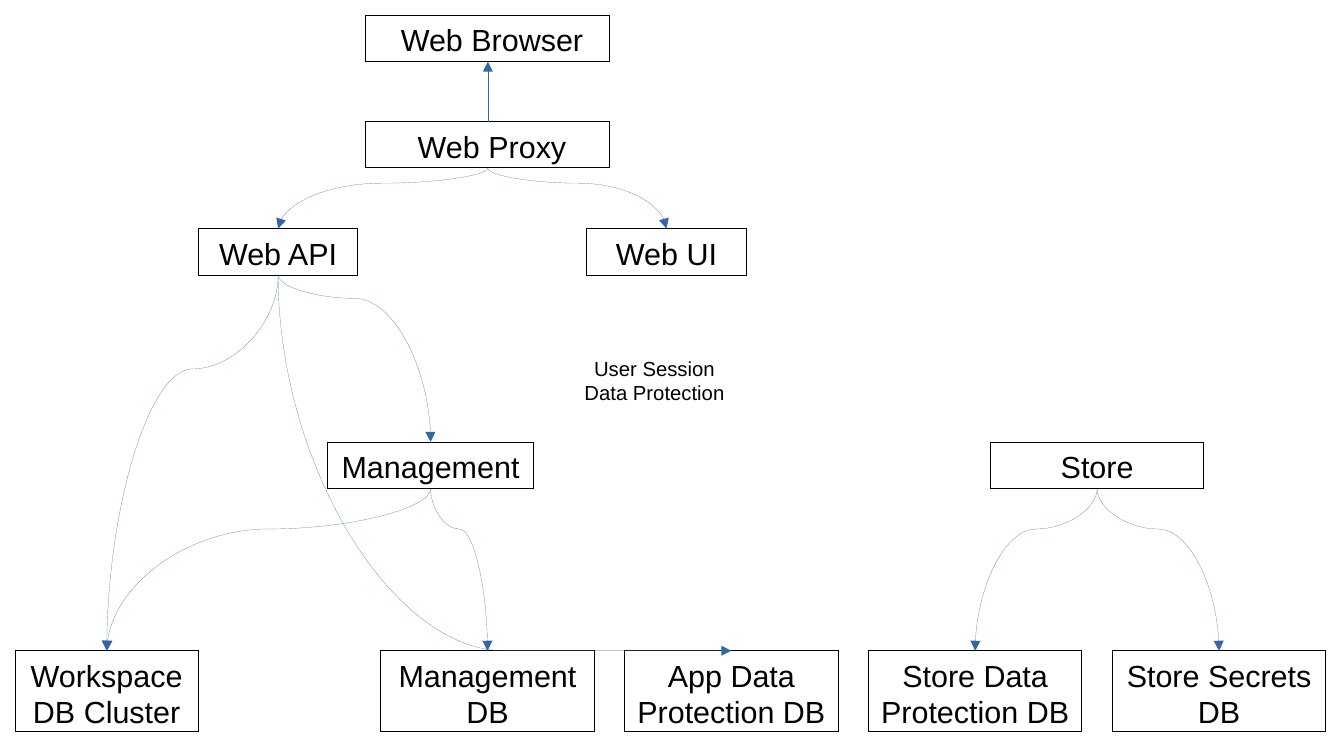
from collections import namedtuple

from lxml import etree
from pptx import Presentation
from pptx import util as u
from pptx.dml import color
from pptx.enum import shapes, text
from pptx.oxml import ns

COLORS = {"ink": "000000", "arrow": "3465A4"}
Node = namedtuple("Node", "label center top width height")
LOW, TALL = 27.4, 47.5
LEVELS = [0, 62.8, 126, 252, 375.3]


def style_line(shape, name):
    """Hairline; a zero width has to be written out to override the theme."""
    shape.line.color.rgb = color.RGBColor.from_string(COLORS[name])
    outline = shape.line._get_or_add_ln()
    outline.set("w", "0")
    return outline


def write(shape, words, size=18, font="Arial", ink="ink"):
    frame = shape.text_frame
    frame.word_wrap = True
    frame.auto_size = text.MSO_AUTO_SIZE.SHAPE_TO_FIT_TEXT
    frame.vertical_anchor = text.MSO_ANCHOR.TOP
    para = frame.paragraphs[0]
    para.alignment = text.PP_ALIGN.CENTER
    span = para.add_run()
    span.text = words
    span.font.size = u.Pt(size)
    span.font.name = font
    span.font.color.rgb = color.RGBColor.from_string(COLORS[ink])


def add_node(page, left, top, node):
    box = page.shapes.add_shape(
        shapes.MSO_SHAPE.RECTANGLE,
        u.Pt(left + node.center - node.width / 2), u.Pt(top + node.top),
        u.Pt(node.width), u.Pt(node.height))
    box.shadow.inherit = False
    box.fill.background()
    style_line(box, "ink")
    write(box, node.label)


def style_arrow(arrow):
    outline = style_line(arrow, "arrow")
    etree.SubElement(outline, ns.qn("a:tailEnd"), type="triangle")
    etree.SubElement(arrow._element.spPr, ns.qn("a:effectLst"))


def add_rise(page, x, start, end):
    style_arrow(page.shapes.add_connector(
        shapes.MSO_CONNECTOR.STRAIGHT, u.Pt(x), u.Pt(start), u.Pt(x), u.Pt(end)))


def add_drop(page, start, end, bend):
    """Curve that leaves start downwards and enters end from above.

    The connector is laid out sideways about its middle and then turned.
    """
    (x1, y1), (x2, y2) = start, end
    across, down = abs(x2 - x1), y2 - y1
    left, top = (x1 + x2 - down) / 2, (y1 + y2 - across) / 2
    ends = [left, left + down]
    rightward = x2 > x1
    if rightward:
        ends.reverse()
    arrow = page.shapes.add_connector(
        shapes.MSO_CONNECTOR.CURVE,
        u.Pt(ends[0]), u.Pt(top), u.Pt(ends[1]), u.Pt(top + across))
    properties = arrow._element.spPr
    properties.find(ns.qn("a:xfrm")).set("rot", str((270 if rightward else 90) * 60000))
    geometry = properties.find(ns.qn("a:prstGeom"))
    guides = geometry.find(ns.qn("a:avLst"))
    if guides is None:
        guides = etree.SubElement(geometry, ns.qn("a:avLst"))
    etree.SubElement(guides, ns.qn("a:gd"), name="adj1", fmla=f"val {round(bend * 100000)}")
    style_arrow(arrow)


def draw_tree(page, left, top, nodes, links):
    for node in nodes.values():
        add_node(page, left, top, node)
    for source, target, bend in links:
        parent, child = nodes[source], nodes[target]
        add_drop(page,
                 (left + parent.center, top + parent.top + parent.height),
                 (left + child.center, top + child.top), bend)


def draw_session(page, left, top):
    nodes = {
        "browser": Node(" Web Browser", 279, LEVELS[0], 144, LOW),
        "proxy": Node(" Web Proxy", 279, LEVELS[1], 144, LOW),
        "api": Node("Web API", 155.2, LEVELS[2], 94.3, LOW),
        "ui": Node("Web UI", 384.5, LEVELS[2], 94.3, LOW),
        "management": Node("Management", 245.2, LEVELS[3], 121.7, LOW),
        "workspace db": Node("Workspace DB Cluster", 54, LEVELS[4], 108, TALL),
        "management db": Node("Management DB", 278.8, LEVELS[4], 126, TALL),
        "app db": Node("App Data Protection DB", 422.8, LEVELS[4], 126, TALL),
    }
    links = [
        ("proxy", "api", 0.25),
        ("proxy", "ui", 0.25),
        ("api", "workspace db", 0.25),
        ("api", "management", 0.14),
        ("api", "app db", 1),
        ("management", "workspace db", 0.25),
        ("management", "management db", 0.25),
    ]
    draw_tree(page, left, top, nodes, links)
    proxy, browser = nodes["proxy"], nodes["browser"]
    add_rise(page, left + proxy.center, top + proxy.top,
             top + browser.top + browser.height)
    caption = page.shapes.add_textbox(
        u.Pt(left + 322.7), u.Pt(top + 197.8), u.Pt(109.4), u.Pt(34))
    write(caption, "User Session Data Protection", size=12)


def draw_store(page, left, top):
    bottom = LEVELS[4] - LEVELS[3]
    nodes = {
        "store": Node("Store", 135, 0, 126, LOW),
        "data": Node("Store Data Protection DB", 63, bottom, 126, TALL),
        "secrets": Node("Store Secrets DB", 207, bottom, 126, TALL),
    }
    draw_tree(page, left, top, nodes,
              [("store", "data", 0.25), ("store", "secrets", 0.25)])


def main():
    deck = Presentation()
    deck.slide_width, deck.slide_height = u.Pt(793.44), u.Pt(446.4)
    page = deck.slides.add_slide(deck.slide_layouts[6])
    draw_session(page, 9, 9)
    draw_store(page, 512.7, 9 + LEVELS[3])
    deck.save("out.pptx")


if __name__ == "__main__":
    main()
